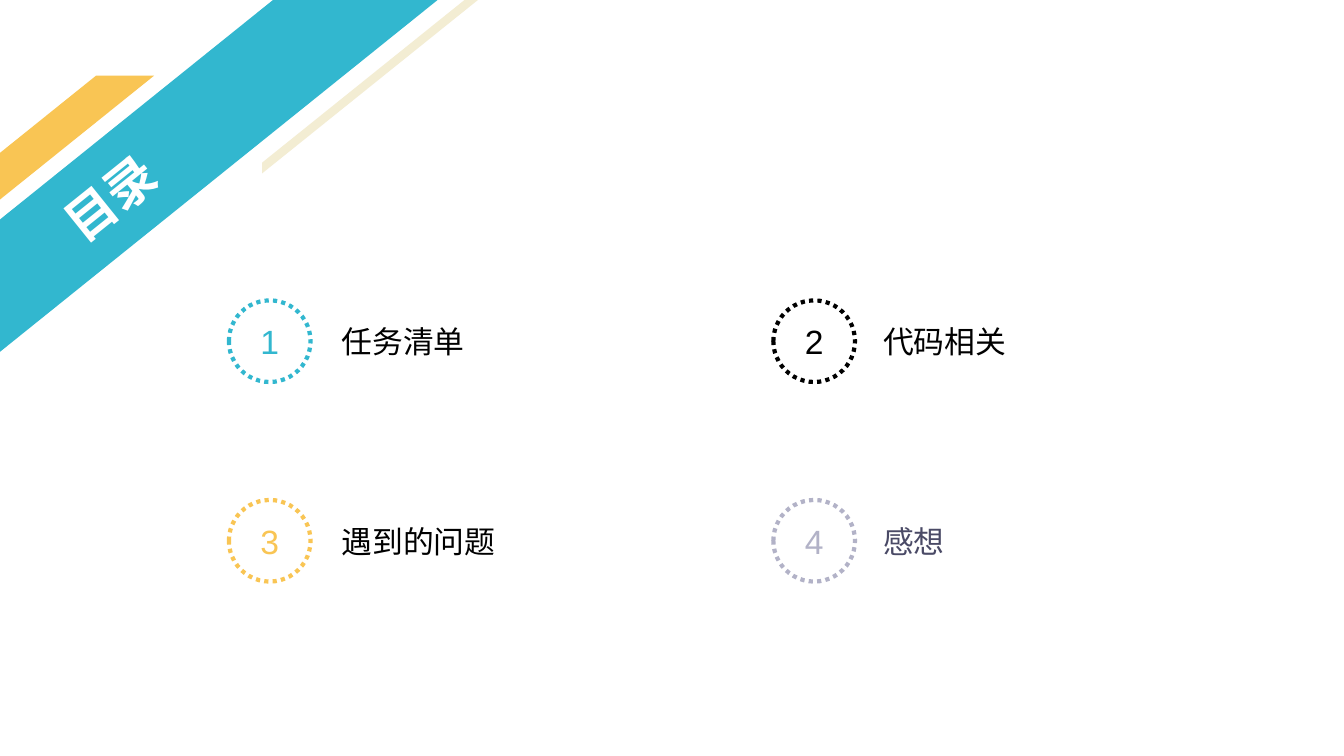
from pptx import Presentation
from pptx.dml.color import RGBColor
from pptx.enum.dml import MSO_LINE
from pptx.enum.shapes import MSO_SHAPE
from pptx.enum.text import MSO_ANCHOR, MSO_AUTO_SIZE, PP_ALIGN
from pptx.util import Inches, Pt

TEAL = RGBColor(0x32, 0xB7, 0xCF)
YELLOW = RGBColor(0xF9, 0xC5, 0x54)
CREAM = RGBColor(0xF3, 0xED, 0xD3)
BLACK = RGBColor(0x00, 0x00, 0x00)
WHITE = RGBColor(0xFF, 0xFF, 0xFF)
LILAC = RGBColor(0xB2, 0xB2, 0xC7)
SLATE = RGBColor(0x4A, 0x4A, 0x66)

# Content
TITLE = "目录"
TOPICS = [  # text, circle colour, text colour
    ("任务清单", TEAL, BLACK),
    ("代码相关", BLACK, BLACK),
    ("遇到的问题", YELLOW, BLACK),
    ("感想", LILAC, SLATE),
]
STRIPES = [  # left, top, width, height, inner edge, colour
    (0, 0, 4.34, 3.49, 0.624, TEAL),
    (0, 0.75, 1.53, 1.23, 0.624, YELLOW),
    (2.6, 0, 2.14, 1.72, 0.938, CREAM),
]

# Grid of topics
CIRCLE_X = (2.27, 7.67)
LABEL_X = (3.29, 8.66)
FIRST_ROW, ROW_STEP = 3.385, 1.98  # centre of first row, row distance
CIRCLE = 0.81
LABEL_W, LABEL_H = 3.86, 0.93


def write(shape, text, size, color, align=PP_ALIGN.LEFT, bold=False):
    tf = shape.text_frame
    tf.word_wrap = True
    tf.auto_size = MSO_AUTO_SIZE.NONE
    tf.vertical_anchor = MSO_ANCHOR.MIDDLE
    p = tf.paragraphs[0]
    p.alignment = align
    r = p.add_run()
    r.text = text
    r.font.name = "Arial"
    r.font.size = Pt(size)
    r.font.bold = bold
    r.font.color.rgb = color


prs = Presentation()
prs.slide_width, prs.slide_height = Inches(13.33), Inches(7.5)
s = prs.slides.add_slide(prs.slide_layouts[5])

# Numbered topics
for i, (text, circle_color, text_color) in enumerate(TOPICS):
    row, col = divmod(i, 2)
    middle = FIRST_ROW + row * ROW_STEP
    sp = s.shapes.add_shape(MSO_SHAPE.OVAL, Inches(CIRCLE_X[col]),
                            Inches(middle - CIRCLE / 2), Inches(CIRCLE), Inches(CIRCLE))
    sp.shadow.inherit = False
    sp.fill.background()
    sp.line.color.rgb = circle_color
    sp.line.width = Pt(3)
    sp.line.dash_style = MSO_LINE.ROUND_DOT
    write(sp, str(i + 1), 24, circle_color, PP_ALIGN.CENTER)

    label = s.shapes.add_textbox(Inches(LABEL_X[col]), Inches(middle - LABEL_H / 2),
                                 Inches(LABEL_W), Inches(LABEL_H))
    write(label, text, 22, text_color)

# Corner stripes
for left, top, width, height, inner, color in STRIPES:
    sp = s.shapes.add_shape(MSO_SHAPE.DIAGONAL_STRIPE, Inches(left), Inches(top),
                            Inches(width), Inches(height))
    sp.adjustments[0] = inner
    sp.shadow.inherit = False
    sp.fill.solid()
    sp.fill.fore_color.rgb = color
    sp.line.fill.background()

# Title along the wide stripe, brought to the front
title = s.shapes.title
title.left, title.top = Inches(0.38), Inches(1.14)
title.width, title.height = Inches(2.23), Inches(0.99)
title.rotation = 321.2
write(title, TITLE, 36, WHITE, PP_ALIGN.JUSTIFY, bold=True)
title.element.getparent().append(title.element)

prs.save("out.pptx")
